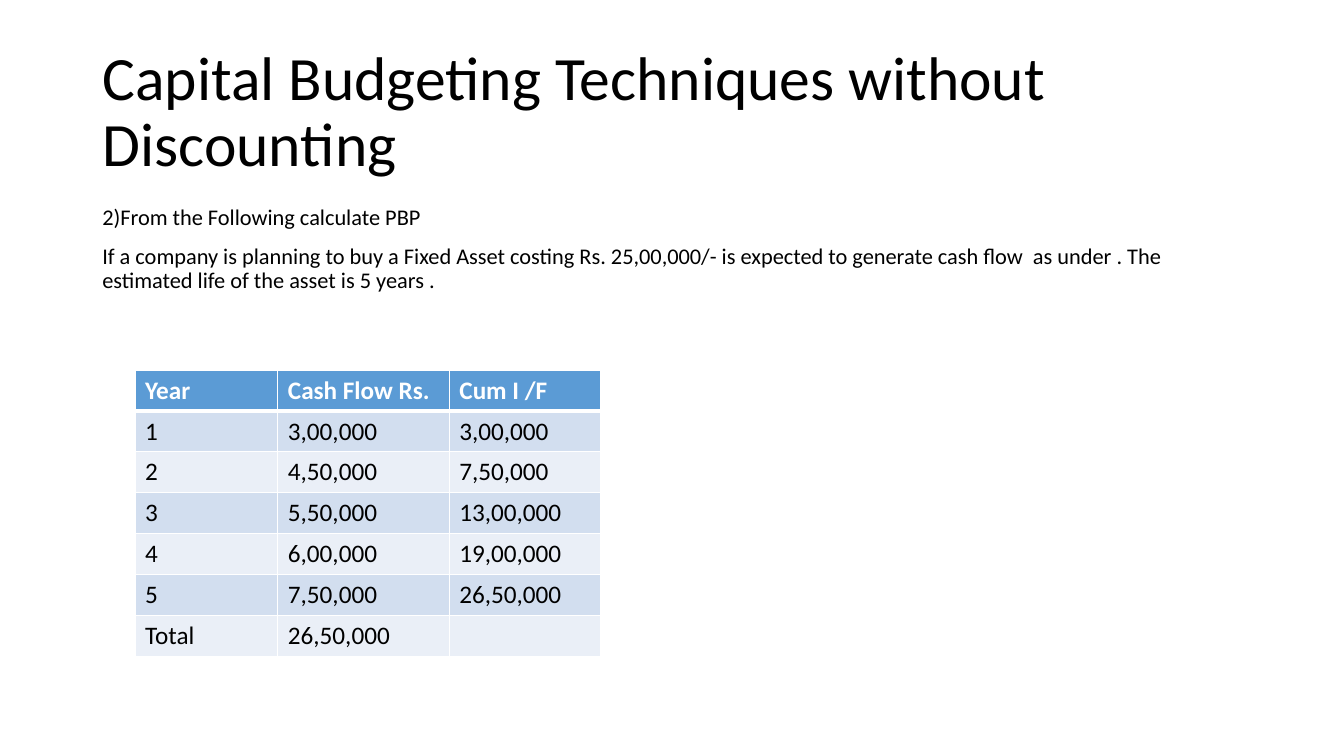
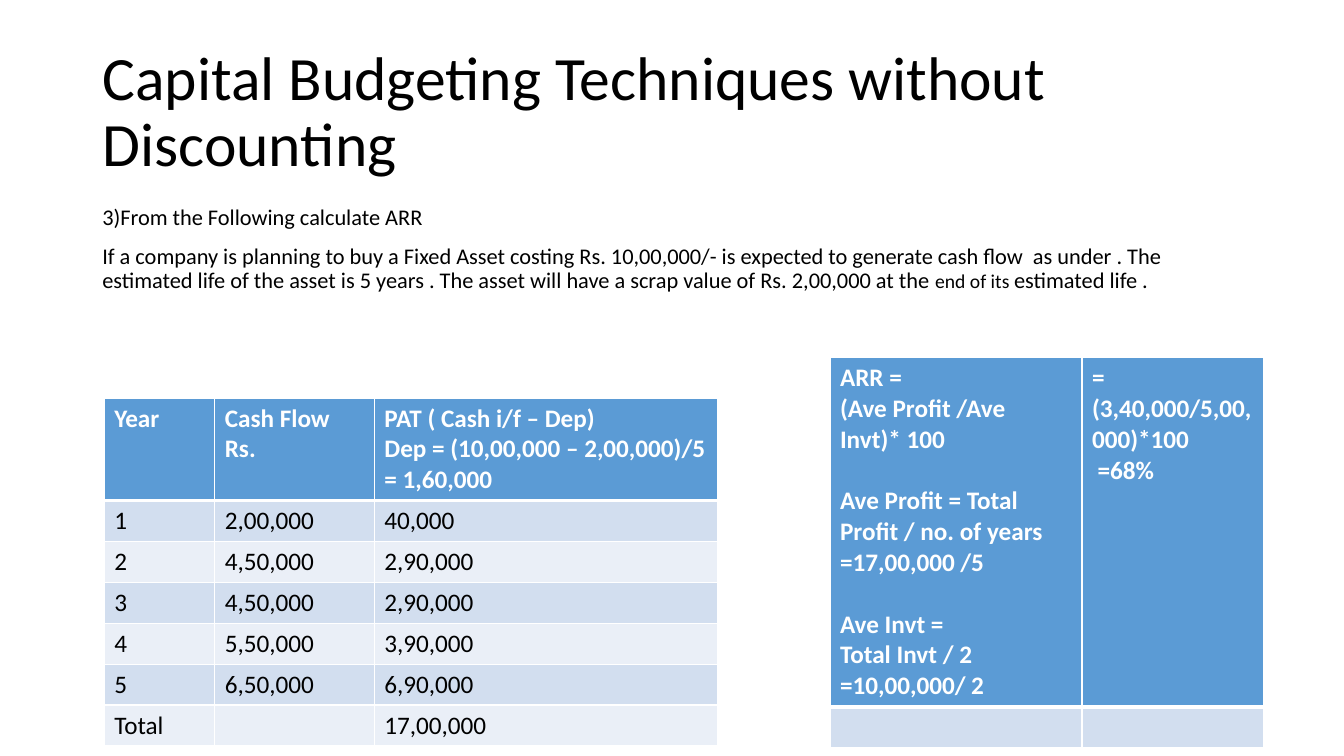
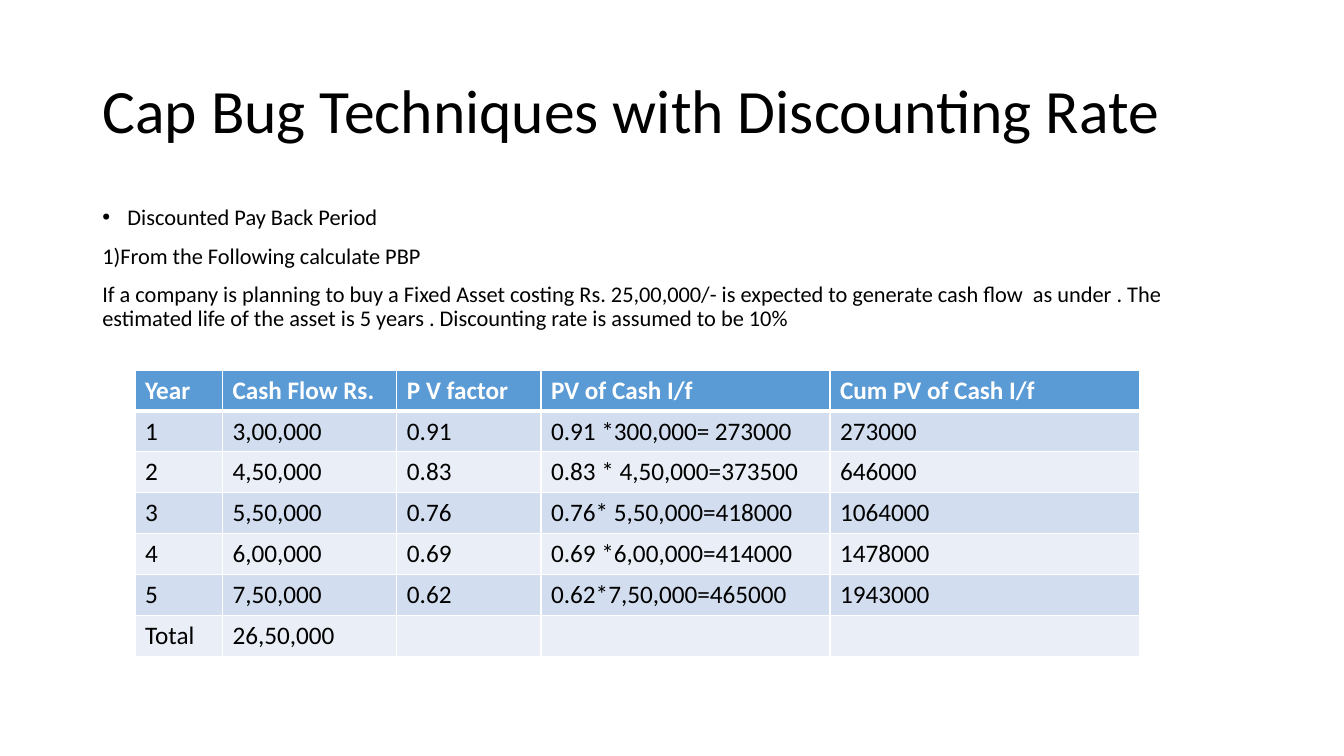
from pptx import Presentation
from pptx.dml.color import RGBColor as Rgb
from pptx.enum.text import MSO_ANCHOR as Anchor, MSO_AUTO_SIZE as AutoSize, PP_ALIGN as Align
from pptx.oxml.ns import qn
from pptx.util import Pt
from lxml.etree import SubElement

FONT = "Calibri"
COLOURS = {"text": "000000", "white": "FFFFFF", "header": "5B9BD5",
           "odd": "D2DEEF", "even": "EAEFF7"}
TITLE_BOX = (66, 28.8, 828, 104.4)
BODY_BOX = (66, 144, 828, 342.7)
ROW_HEIGHT = 29.2
LINE_HEIGHT = 22
SMALL = 14

WITHOUT_DISCOUNTING = "Capital Budgeting Techniques without Discounting"
TASK = ("If a company is planning to buy a Fixed Asset costing Rs. {}/- is expected to "
        "generate cash flow  as under . The estimated life of the asset is 5 years .")


def style(span, size, colour="text", bold=False):
    span.font.name = FONT
    span.font.size = Pt(size)
    span.font.bold = bold
    span.font.color.rgb = Rgb.from_string(COLOURS[colour])


def place(shape, box):
    shape.left, shape.top, shape.width, shape.height = map(Pt, box)


# Title
def add_title(page, text, box=TITLE_BOX):
    title = page.shapes.title
    place(title, box)
    frame = title.text_frame
    frame.text = text
    frame.auto_size = AutoSize.NONE
    frame.vertical_anchor = Anchor.MIDDLE
    para = frame.paragraphs[0]
    para.alignment = Align.LEFT
    para.line_spacing = 0.9
    style(para.runs[0], 44)


# Problem statement: each paragraph is a list of (text, size) spans
def add_bullet(para):
    props = para._p.get_or_add_pPr()
    props.set("marL", str(Pt(18)))
    props.set("indent", str(Pt(-18)))
    SubElement(props, qn("a:buFont"), typeface="Arial")
    SubElement(props, qn("a:buChar"), char="•")


def add_body(page, paragraphs, bulleted=(), box=BODY_BOX):
    frame = page.shapes.add_textbox(*map(Pt, box)).text_frame
    frame.word_wrap = True
    for index, spans in enumerate(paragraphs):
        para = frame.add_paragraph() if index else frame.paragraphs[0]
        para.line_spacing = 0.9
        para.space_before = Pt(10)
        for text, size in spans:
            span = para.add_run()
            span.text = text
            style(span, size)
        if index in bulleted:
            add_bullet(para)


# Table: the first row is the header, the others are banded
def set_borders(cell, row):
    props = cell._tc.get_or_add_tcPr()
    widths = {"L": 1, "R": 1, "T": 3 if row == 1 else 1, "B": 3 if row == 0 else 1}
    for side, width in widths.items():
        line = SubElement(props, qn(f"a:ln{side}"), w=str(Pt(width)))
        fill = SubElement(line, qn("a:solidFill"))
        SubElement(fill, qn("a:srgbClr"), val=COLOURS["white"])


def fill_cell(cell, text, row, gaps):
    is_header = row == 0
    set_borders(cell, row)
    cell.fill.solid()
    band = "header" if is_header else "odd" if row % 2 else "even"
    cell.fill.fore_color.rgb = Rgb.from_string(COLOURS[band])
    cell.text_frame.text = text
    for para in cell.text_frame.paragraphs:
        if para.text in gaps:
            para.space_before = Pt(LINE_HEIGHT)
        for span in para.runs:
            style(span, 18, "white" if is_header else "text", is_header)


def add_grid(page, left, top, widths, rows, header_lines=1, gaps=()):
    heights = [ROW_HEIGHT + LINE_HEIGHT * (header_lines - 1)] + [ROW_HEIGHT] * (len(rows) - 1)
    box = (left, top, sum(widths), sum(heights))
    table = page.shapes.add_table(len(rows), len(widths), *map(Pt, box)).table
    table.first_row = table.horz_banding = False
    for column, width in zip(table.columns, widths):
        column.width = Pt(width)
    for row, (height, texts) in enumerate(zip(heights, rows)):
        table.rows[row].height = Pt(height)
        for column, text in enumerate(texts):
            fill_cell(table.cell(row, column), text, row, gaps)


def add_page(deck, title):
    page = deck.slides.add_slide(deck.slide_layouts[5])
    add_title(page, title)
    return page


# Slide types
def payback_page(deck):
    page = add_page(deck, WITHOUT_DISCOUNTING)
    add_body(page, [[("2)From the Following calculate PBP", 16)],
                    [(TASK.format("25,00,000"), 16)]])
    add_grid(page, 96.5, 264.4, [102, 122.5, 108], [
        ("Year", "Cash Flow Rs.", "Cum I /F"),
        ("1", "3,00,000", "3,00,000"),
        ("2", "4,50,000", "7,50,000"),
        ("3", "5,50,000", "13,00,000"),
        ("4", "6,00,000", "19,00,000"),
        ("5", "7,50,000", "26,50,000"),
        ("Total", "26,50,000", ""),
    ])


def return_page(deck):
    page = add_page(deck, WITHOUT_DISCOUNTING)
    scrap = " The asset will have a scrap value of Rs. 2,00,000 at the "
    add_body(page, [[("3)From the Following calculate ARR", 16)],
                    [(TASK.format("10,00,000") + scrap, 16),
                     ("end of its ", SMALL), ("estimated life .", 16)]])
    add_grid(page, 74.4, 284.4, [79, 114, 245.5], [
        ("Year", "Cash Flow Rs.",
         "PAT ( Cash i/f – Dep)\nDep = (10,00,000 – 2,00,000)/5 = 1,60,000"),
        ("1", "2,00,000", "40,000"),
        ("2", "4,50,000", "2,90,000"),
        ("3", "4,50,000", "2,90,000"),
        ("4", "5,50,000", "3,90,000"),
        ("5", "6,50,000", "6,90,000"),
        ("Total", "", "17,00,000"),
    ], header_lines=3)
    # Worked answer
    average_profit = "Ave Profit = Total Profit / no. of years =17,00,000 /5"
    average_investment = "Ave Invt ="
    formula = "\n".join(["ARR =", "(Ave Profit /Ave Invt)* 100", average_profit,
                         average_investment, "Total Invt / 2 =10,00,000/ 2"])
    add_grid(page, 592.8, 255.6, [180, 129.5], [
        (formula, "= (3,40,000/5,00,000)*100\n =68%"),
        ("", ""),
    ], header_lines=11, gaps=(average_profit, average_investment))


def discounted_page(deck):
    page = add_page(deck, "Cap Bug Techniques with Discounting Rate")
    add_body(page, [[("Discounted Pay Back Period", 16)],
                    [("1)From the Following calculate PBP", 16)],
                    [(TASK.format("25,00,000") + " Discounting rate is assumed to be 10%", 16)]],
             bulleted=(0,))
    add_grid(page, 96.5, 264.4, [62.5, 124.5, 103, 206.5, 221], [
        ("Year", "Cash Flow Rs.", "P V factor", "PV of Cash I/f", "Cum PV of Cash I/f"),
        ("1", "3,00,000", "0.91", "0.91 *300,000= 273000", "273000"),
        ("2", "4,50,000", "0.83", "0.83 * 4,50,000=373500", "646000"),
        ("3", "5,50,000", "0.76", "0.76* 5,50,000=418000", "1064000"),
        ("4", "6,00,000", "0.69", "0.69 *6,00,000=414000", "1478000"),
        ("5", "7,50,000", "0.62", "0.62*7,50,000=465000", "1943000"),
        ("Total", "26,50,000", "", "", ""),
    ])


def main():
    deck = Presentation()
    deck.slide_width, deck.slide_height = Pt(960), Pt(540)
    payback_page(deck)
    return_page(deck)
    discounted_page(deck)
    deck.save("out.pptx")


if __name__ == "__main__":
    main()
